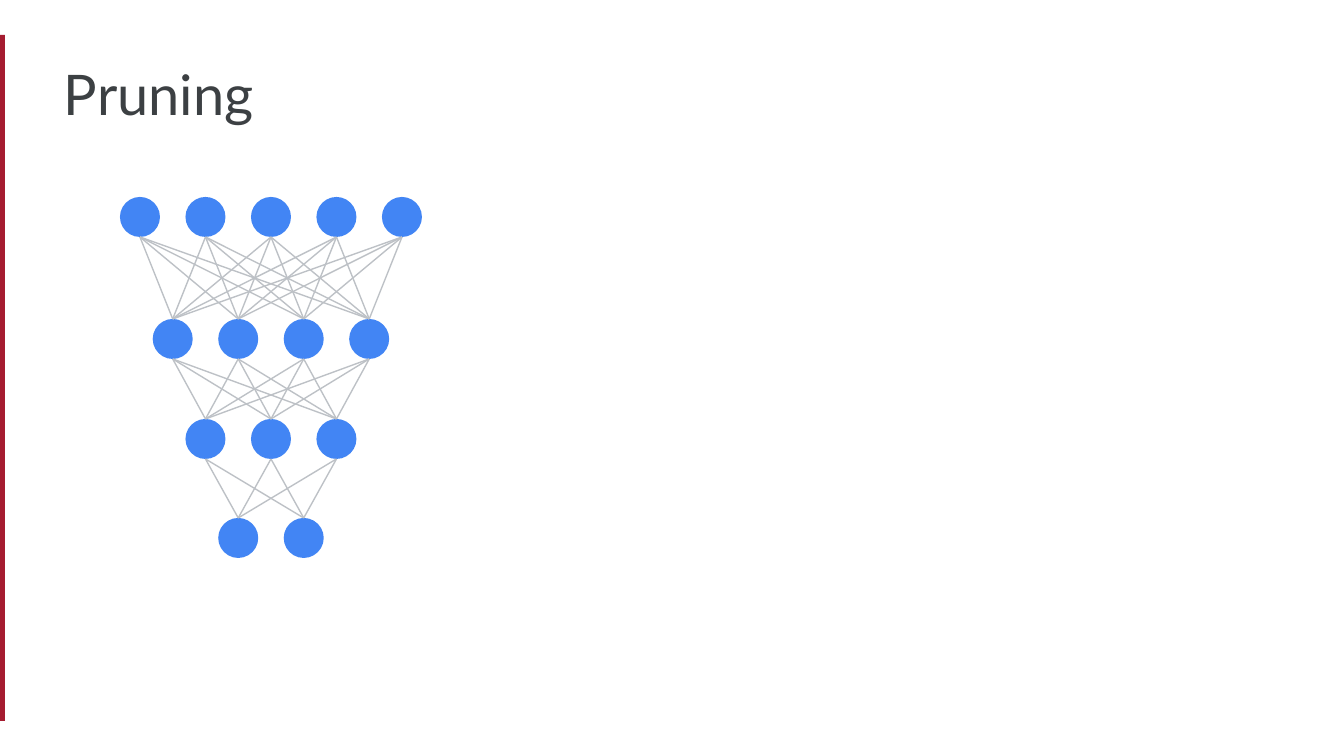
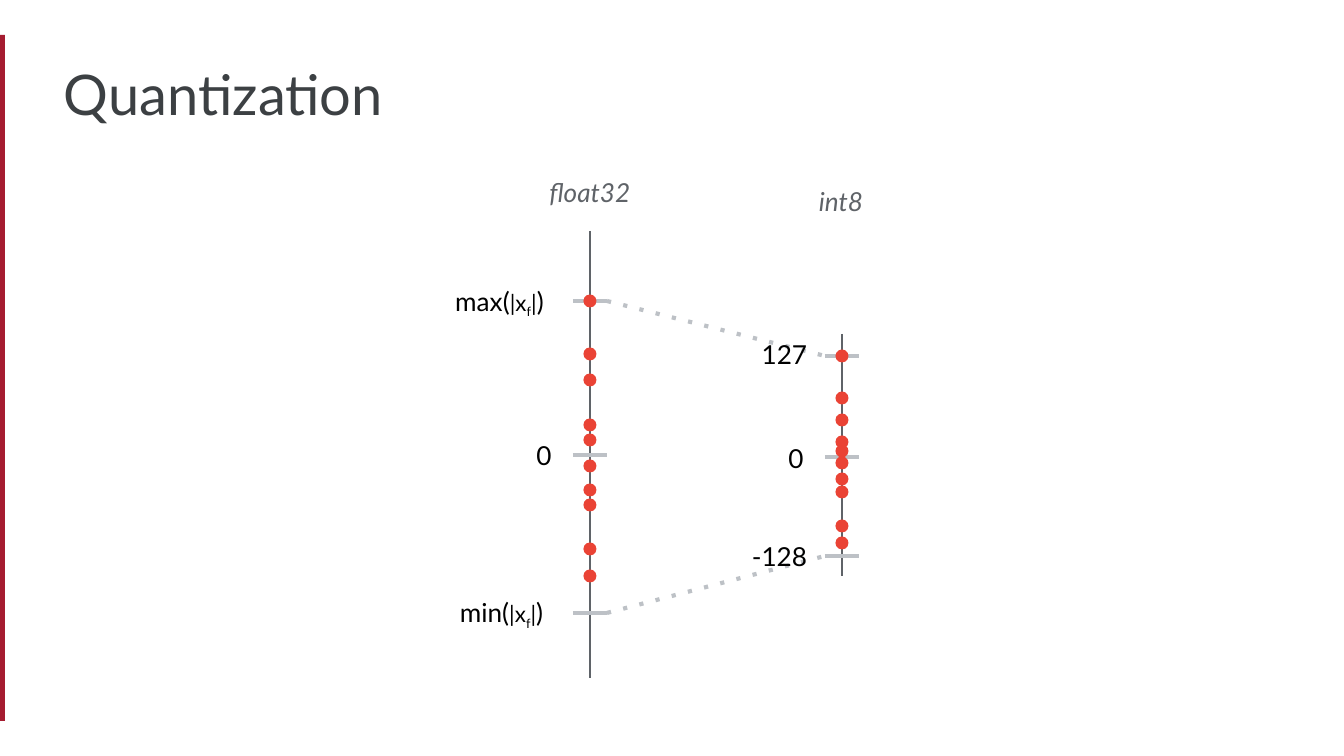
"""Build two slides on shrinking neural networks: pruning and quantization."""
import dataclasses
import itertools

import lxml.etree
import pptx
import pptx.dml.color
import pptx.enum.shapes
import pptx.enum.text
import pptx.oxml.ns
import pptx.util

PAGE_WIDTH, PAGE_HEIGHT = 1344, 756
EMU_PER_PX = 9144000 / PAGE_WIDTH
SHAPE = pptx.enum.shapes.MSO_SHAPE
ANCHOR = pptx.enum.text.MSO_ANCHOR
ALIGN = pptx.enum.text.PP_ALIGN


def rgb(code):
    return pptx.dml.color.RGBColor.from_string(code)


def px(length):
    return pptx.util.Emu(round(length * EMU_PER_PX))


@dataclasses.dataclass(frozen=True)
class Theme:
    font: str = "Lato"
    band: str = "A51C30"
    title: str = "3C4043"
    text: str = "000000"
    axis: str = "5F6368"
    pale: str = "BDC1C6"
    node: str = "4285F4"
    dot: str = "EA4335"
    title_size: int = 30
    label_size: int = 14
    symbol_size: int = 12
    link_width: float = 0.75
    axis_width: float = 1.5
    tick_width: float = 2.25


THEME = Theme()
PADDING = 13
LABEL_HEIGHT = 50
NODE_SIZE = 40
NODE_STEP = 65.5
NETWORK_CENTER = 271
LAYERS = [(5, 197), (4, 319), (3, 419), (2, 518)]
DOT_SIZE = 13
TICK_REACH = 17


@dataclasses.dataclass(frozen=True)
class Scale:
    x: int
    top: int
    bottom: int
    ticks: tuple
    values: tuple

    @property
    def left(self):
        return self.x - TICK_REACH

    @property
    def right(self):
        return self.x + TICK_REACH


FLOAT_SCALE = Scale(590, 231, 678, (301, 455, 613),
                    (301, 354, 380, 425, 440, 466, 490, 505, 549, 576))
INT_SCALE = Scale(842, 334, 576, (356, 457, 556),
                  (356, 398, 420, 442, 451, 463, 479, 492, 526, 543))


def apply_format(target, values):
    for name, value in values.items():
        setattr(target, name, value)


def add_filled(page, kind, left, top, width, height, color):
    shape = page.shapes.add_shape(kind, px(left), px(top), px(width), px(height))
    shape.shadow.inherit = False
    shape.fill.solid()
    shape.fill.fore_color.rgb = rgb(color)
    shape.line.fill.background()


def add_line(page, start, end, color, width, dotted=False):
    line = page.shapes.add_connector(
        pptx.enum.shapes.MSO_CONNECTOR.STRAIGHT, *map(px, (*start, *end)))
    line.line.color.rgb = rgb(color)
    line.line.width = pptx.util.Pt(width)
    properties = line._element.spPr
    qn = pptx.oxml.ns.qn
    if dotted:
        outline = properties.find(qn("a:ln"))
        lxml.etree.SubElement(outline, qn("a:prstDash")).set("val", "dot")
    lxml.etree.SubElement(properties, qn("a:effectLst"))


def add_text(page, area, spans, color, anchor=ANCHOR.MIDDLE,
             align=ALIGN.CENTER, italic=False):
    box = page.shapes.add_textbox(*map(px, area))
    frame = {"word_wrap": True, "vertical_anchor": anchor}
    for side in ("left", "right", "top", "bottom"):
        frame["margin_" + side] = px(PADDING)
    apply_format(box.text_frame, frame)
    para = box.text_frame.paragraphs[0]
    para.alignment = align
    for text, size, baseline in spans:
        span = para.add_run()
        span.text = text
        apply_format(span.font, {"name": THEME.font, "size": pptx.util.Pt(size),
                                 "italic": italic})
        span.font.color.rgb = rgb(color)
        if baseline:
            span._r.get_or_add_rPr().set("baseline", str(baseline * 1000))


def add_label(page, left, top, width, text, color=THEME.text, italic=False):
    add_text(page, (left, top, width, LABEL_HEIGHT),
             [(text, THEME.label_size, 0)], color, italic=italic)


def add_bound_label(page, left, top, function):
    spans = [(function + "(", THEME.label_size, 0), ("|x", THEME.symbol_size, 0),
             ("f", THEME.symbol_size, -25), ("|", THEME.symbol_size, 0),
             (")", THEME.label_size, 0)]
    add_text(page, (left, top, 149, LABEL_HEIGHT), spans, THEME.text)


def add_page(deck, title):
    page = deck.slides.add_slide(deck.slide_layouts[6])
    add_filled(page, SHAPE.RECTANGLE, 0, 35, 5, 686, THEME.band)
    add_text(page, (51, 47, 607, 103), [(title, THEME.title_size, 0)],
             THEME.title, ANCHOR.TOP, ALIGN.LEFT)
    return page


def node_centers(count):
    first = NETWORK_CENTER - (count - 1) * NODE_STEP / 2
    return [first + index * NODE_STEP for index in range(count)]


def add_network(page):
    for count, top in LAYERS:
        for center in node_centers(count):
            add_filled(page, SHAPE.OVAL, center - NODE_SIZE / 2, top,
                       NODE_SIZE, NODE_SIZE, THEME.node)
    for (count, top), (next_count, next_top) in itertools.pairwise(LAYERS):
        links = itertools.product(node_centers(count), node_centers(next_count))
        for start, end in links:
            add_line(page, (start, top + NODE_SIZE), (end, next_top),
                     THEME.pale, THEME.link_width)


def add_scale(page, scale):
    add_line(page, (scale.x, scale.top), (scale.x, scale.bottom),
             THEME.axis, THEME.axis_width)
    for tick in scale.ticks:
        add_line(page, (scale.left, tick), (scale.right, tick),
                 THEME.pale, THEME.tick_width)
    for value in scale.values:
        add_filled(page, SHAPE.OVAL, scale.x - DOT_SIZE / 2, value - DOT_SIZE / 2,
                   DOT_SIZE, DOT_SIZE, THEME.dot)


def add_quantization(page):
    for scale in (FLOAT_SCALE, INT_SCALE):
        add_scale(page, scale)
    for index in (0, -1):
        add_line(page, (FLOAT_SCALE.right, FLOAT_SCALE.ticks[index]),
                 (INT_SCALE.left, INT_SCALE.ticks[index]),
                 THEME.pale, THEME.tick_width, dotted=True)
    add_label(page, 512, 167, 156, "float32", THEME.axis, italic=True)
    add_label(page, 763, 176, 156, "int8", THEME.axis, italic=True)
    add_bound_label(page, 425, 277, "max")
    add_bound_label(page, 427, 589, "min")
    for left, top, width, text in [(521, 430, 46, "0"), (773, 433, 46, "0"),
                                   (739, 329, 91, "127"), (734, 531, 91, "-128")]:
        add_label(page, left, top, width, text)


def main():
    deck = pptx.Presentation()
    apply_format(deck, {"slide_width": px(PAGE_WIDTH),
                        "slide_height": px(PAGE_HEIGHT)})
    add_network(add_page(deck, "Pruning"))
    add_quantization(add_page(deck, "Quantization"))
    deck.save("out.pptx")


if __name__ == "__main__":
    main()
